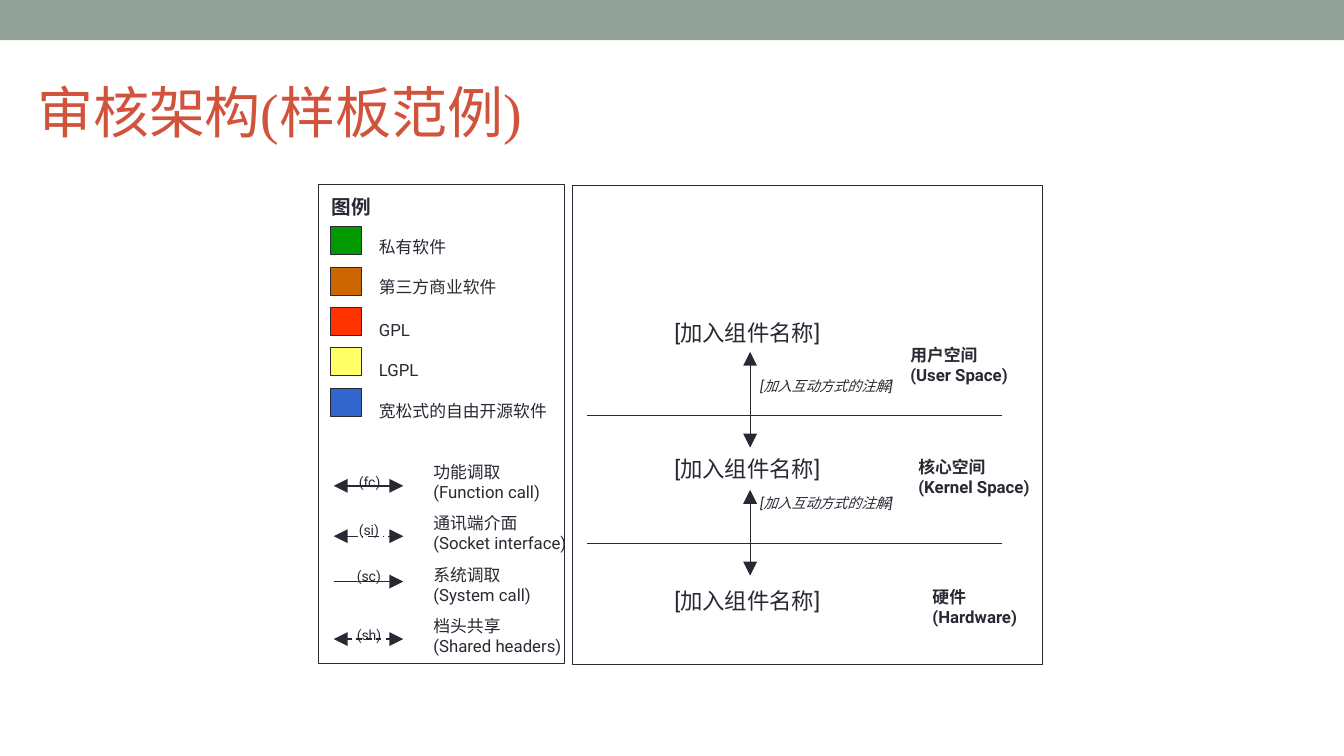
from lxml import etree
from pptx import Presentation
from pptx.dml.color import RGBColor
from pptx.enum.dml import MSO_LINE
from pptx.enum.shapes import MSO_CONNECTOR, MSO_SHAPE
from pptx.enum.text import MSO_ANCHOR
from pptx.oxml.ns import qn
from pptx.util import Pt

PX = 9144
INK = "292934"
RECT = MSO_SHAPE.RECTANGLE
STRAIGHT = MSO_CONNECTOR.STRAIGHT
DASH = MSO_LINE.DASH
DASH_DOT = MSO_LINE.LONG_DASH_DOT
TOP, MIDDLE = MSO_ANCHOR.TOP, MSO_ANCHOR.MIDDLE

LICENSES = [
    ("私有软件", "009900", 230, 102),
    ("第三方商业软件", "CC6600", 270, 177),
    ("GPL", "FF3300", 312, 51),
    ("LGPL", "FFFF66", 352, 60),
    ("宽松式的自由开源软件", "3366CC", 393, 191),
]
CALLS = [
    ("功能调取(Function call)", 453, 137, "(fc)", 346, 465, 482, True, None),
    ("通讯端介面\n(Socket interface)", 504, 161, "(si)", 346, 512, 532, True, DASH_DOT),
    ("系统调取\n(System call)", 555, 137, "(sc)", 344, 558, 577, False, None),
    ("档头共享\n(Shared headers)", 606, 168, "(sh)", 344, 617, 634, True, DASH),
]
SPACES = [
    ("用户空间\n(User Space)", 893, 337, 132),
    ("核心空间\n(Kernel Space)", 901, 448, 138),
    ("硬件\n(Hardware)", 915, 577, 119),
]


def px(*lengths):
    return [n * PX for n in lengths]


def color(code):
    return RGBColor.from_string(code)


def add_text(s, text, x, y, w, h, size=12, font="Roboto", ink=INK,
             bold=False, italic=False, anchor=TOP):
    tf = s.shapes.add_textbox(*px(x, y, w, h)).text_frame
    tf.word_wrap = True
    tf.vertical_anchor = anchor
    for i, line in enumerate(text.split("\n")):
        p = tf.add_paragraph() if i else tf.paragraphs[0]
        r = p.add_run()
        r.text = line
        r.font.name = font
        r.font.size = Pt(size)
        r.font.bold = bold
        r.font.italic = italic
        r.font.color.rgb = color(ink)


def add_box(s, x, y, w, h, fill=None, line=None):
    sp = s.shapes.add_shape(RECT, *px(x, y, w, h))
    sp.shadow.inherit = False
    if fill:
        sp.fill.solid()
        sp.fill.fore_color.rgb = color(fill)
    else:
        sp.fill.background()
    if line:
        sp.line.color.rgb = color(INK)
        sp.line.width = Pt(line)
    else:
        sp.line.fill.background()


def add_line(s, x1, y1, x2, y2, width=1, head=False, tail=False, dash=None):
    c = s.shapes.add_connector(STRAIGHT, *px(x1, y1, x2, y2))
    c.line.color.rgb = color(INK)
    c.line.width = Pt(width)
    if dash:
        c.line.dash_style = dash
    ln = c.line._get_or_add_ln()
    for tag, shown in (("a:headEnd", head), ("a:tailEnd", tail)):
        if shown:
            etree.SubElement(ln, qn(tag), type="triangle", w="lg", len="lg")
    etree.SubElement(c._element.spPr, qn("a:effectLst"))


def add_legend(s):
    add_box(s, 316, 183, 244, 475, line=1)
    add_text(s, "图例", 319, 188, 86, 34, size=14, bold=True)
    for i, (name, fill, y, w) in enumerate(LICENSES):
        add_box(s, 328, 225 + 40 * i, 31, 28, fill=fill, line=0.75)
        add_text(s, name, 366, y, w, 30)
    for name, y, w, code, code_x, code_y, line_y, head, dash in CALLS:
        add_line(s, 331, line_y, 400, line_y, head=head, tail=True, dash=dash)
        add_text(s, name, 420, y, w, 30)
        add_text(s, code, code_x, code_y, 45, 27, size=10)


def add_architecture(s):
    add_box(s, 568, 184, 466, 475, line=1)
    for y in (412, 539):
        add_line(s, 582, y, 994, y)
    for name, x, y, w in SPACES:
        add_text(s, name, x, y, w, 30, bold=True)
    for y in (312, 447, 578):
        add_text(s, "[加入组件名称]", 659, y, 172, 37, size=16)
    for top, bottom, note_y in ((349, 444, 370), (486, 571, 486)):
        add_line(s, 744, top, 744, bottom, width=0.75, head=True, tail=True)
        add_text(s, "[加入互动方式的注解]", 744, note_y, 181, 27, size=10, italic=True)


def main():
    prs = Presentation()
    prs.slide_width, prs.slide_height = px(1333, 750)
    s = prs.slides.add_slide(prs.slide_layouts[6])
    add_box(s, 0, 0, 1333, 40, fill="93A299")
    add_text(s, "审核架构(样板范例)", 27, 56, 1200, 108, size=40,
             font="Times New Roman", ink="D2533C", anchor=MIDDLE)
    add_legend(s)
    add_architecture(s)
    prs.save("out.pptx")


if __name__ == "__main__":
    main()
